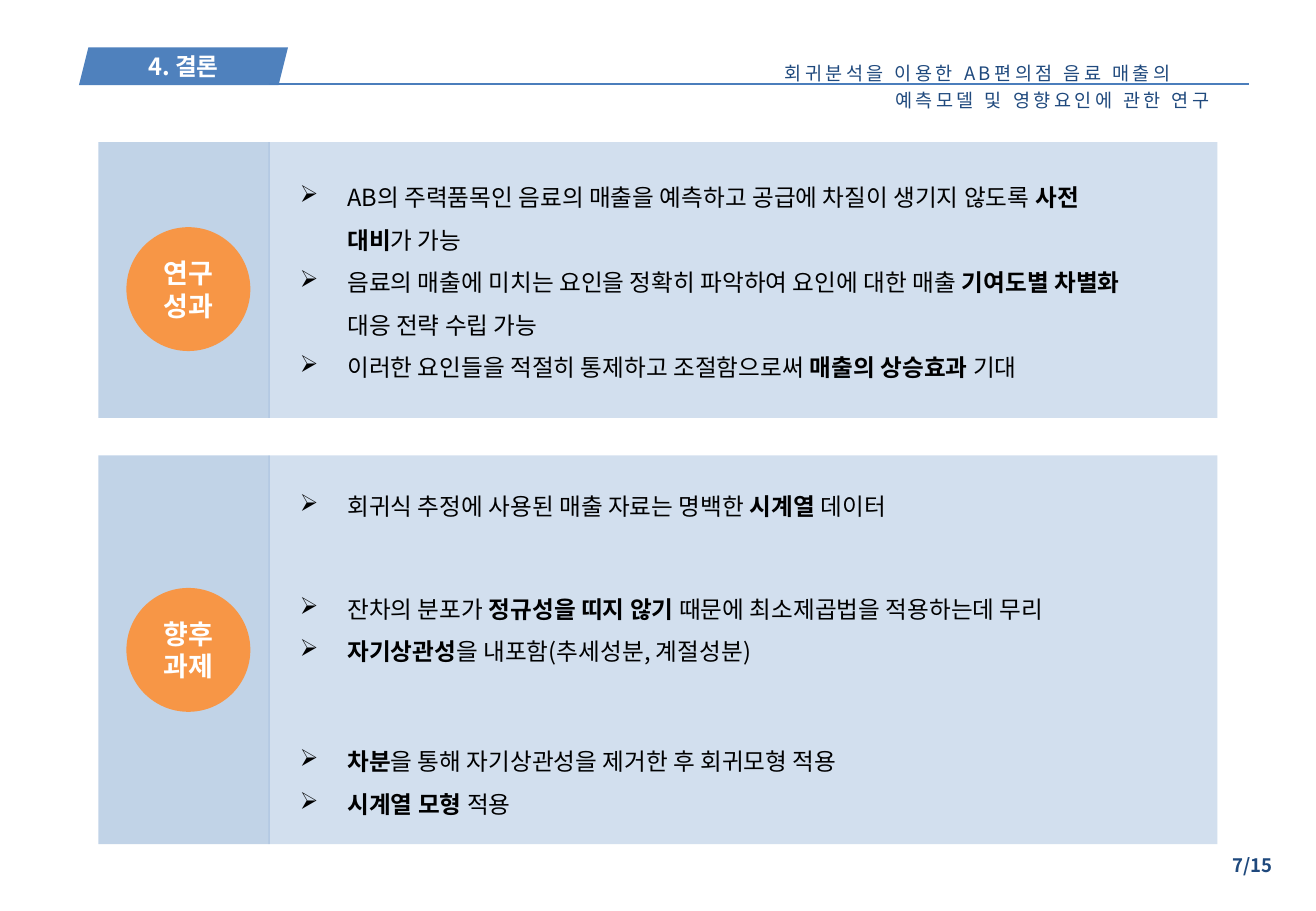
from lxml.etree import SubElement
from pptx import Presentation
from pptx.dml.color import RGBColor
from pptx.enum.shapes import MSO_CONNECTOR, MSO_SHAPE
from pptx.enum.text import MSO_ANCHOR, MSO_AUTO_SIZE, PP_ALIGN
from pptx.oxml.ns import qn
from pptx.util import Inches, Pt

COLORS = {
    "blue": "4F81BD",
    "rule": "4B7EBC",
    "navy": "1F497D",
    "orange": "F79646",
    "white": "FFFFFF",
    "black": "000000",
}
FONT = "Noto Sans CJK KR"
COLUMNS, ROWS = 108.3, 75
GRID_UNIT = Inches(0.1)
LABEL_LEFT, LABEL_WIDTH = 8.1, 14.1
BODY_LEFT, BODY_WIDTH = 22.1, 78.1
CIRCLE_LEFT, CIRCLE_SIZE = 10.4, 10.2
BULLET_LEFT = 23.7
BULLET_INDENT = 3.9


def grid(*lengths):
    return [round(length * GRID_UNIT) for length in lengths]


def rgb(name):
    return RGBColor.from_string(COLORS[name])


def write_text(paragraph, text, size=14, color="black", bold=False, align=None,
               line_spacing=None, bullet=None, indent=0, tracking=0):
    paragraph.alignment = align
    paragraph.line_spacing = line_spacing
    properties = paragraph._p.get_or_add_pPr()
    if indent:
        properties.set("marL", str(grid(indent)[0]))
    if bullet:
        properties.set("indent", str(-grid(indent)[0]))
        SubElement(properties, qn("a:buChar")).set("char", bullet)
    for part, piece in enumerate(text.split("*")):
        for line, words in enumerate(piece.split("\n")):
            if line:
                paragraph.add_line_break()
                line_break = paragraph._p.findall(qn("a:br"))[-1]
                SubElement(line_break, qn("a:rPr")).set("sz", str(size * 100))
            if not words:
                continue
            run = paragraph.add_run()
            run.text = words
            run.font.size = Pt(size)
            run.font.name = FONT
            run.font.bold = bold or part % 2 == 1
            run.font.color.rgb = rgb(color)
            SubElement(run.font._element, qn("a:ea")).set("typeface", FONT)
            if tracking:
                run.font._element.set("spc", str(tracking * 100))


class SlideBuilder:
    def __init__(self, presentation):
        self.slide = presentation.slides.add_slide(presentation.slide_layouts[6])
        self.shapes = self.slide.shapes

    def start_group(self):
        self.shapes = self.slide.shapes.add_group_shape().shapes

    def shape(self, kind, box, fill, opacity=None, text=None, size=14):
        shape = self.shapes.add_shape(kind, *grid(*box))
        shape.shadow.inherit = False
        shape.fill.solid()
        shape.fill.fore_color.rgb = rgb(fill)
        shape.line.fill.background()
        if opacity:
            color = shape._element.spPr.find(qn("a:solidFill"))[0]
            SubElement(color, qn("a:alpha")).set("val", str(opacity * 1000))
        if text:
            shape.text_frame.word_wrap = True
            shape.text_frame.vertical_anchor = MSO_ANCHOR.MIDDLE
            write_text(shape.text_frame.paragraphs[0], text, size=size,
                       color="white", bold=True, align=PP_ALIGN.CENTER)

    def text(self, box, paragraphs, anchor=MSO_ANCHOR.TOP, wrap=True):
        frame = self.shapes.add_textbox(*grid(*box)).text_frame
        frame.word_wrap = wrap
        frame.auto_size = MSO_AUTO_SIZE.SHAPE_TO_FIT_TEXT
        frame.vertical_anchor = anchor
        for index, (text, style) in enumerate(paragraphs):
            paragraph = frame.add_paragraph() if index else frame.paragraphs[0]
            write_text(paragraph, text, **style)

    def bullets(self, top, width, height, items, wrap=True, align=None, first_spacing=1.5):
        paragraphs = [
            (item, dict(bullet="➢", indent=BULLET_INDENT, align=align,
                        line_spacing=1.5 if index else first_spacing))
            for index, item in enumerate(items)
        ]
        self.text((BULLET_LEFT, top, width, height), paragraphs, MSO_ANCHOR.MIDDLE, wrap)

    def line(self, start, end, color, width):
        connector = self.shapes.add_connector(MSO_CONNECTOR.STRAIGHT, *grid(*start, *end))
        connector.line.color.rgb = rgb(color)
        connector.line.width = Pt(width)
        SubElement(connector._element.spPr, qn("a:effectLst"))

    def panel(self, top, height, circle_top, label):
        self.start_group()
        self.shape(MSO_SHAPE.RECTANGLE, (LABEL_LEFT, top, LABEL_WIDTH, height), "blue", 35)
        self.shape(MSO_SHAPE.RECTANGLE, (BODY_LEFT, top, BODY_WIDTH, height), "blue", 25)
        self.shape(MSO_SHAPE.OVAL, (CIRCLE_LEFT, circle_top, CIRCLE_SIZE, CIRCLE_SIZE),
                   "orange", text=label, size=16)


def main():
    presentation = Presentation()
    presentation.slide_width, presentation.slide_height = grid(COLUMNS, ROWS)
    builder = SlideBuilder(presentation)

    header = dict(size=11, color="navy", tracking=2, line_spacing=Pt(16))
    builder.text((63.6, 4.2, 41.3, 5.3), [
        ("회귀분석을 이용한 AB편의점 음료 매출의", header),
        ("예측모델 및 영향요인에 관한 연구", dict(header, indent=9.1)),
    ])
    builder.text((82.3, 69.8, 23.4, 2.9), [
        ("7/15", dict(size=11, color="navy", bold=True, align=PP_ALIGN.RIGHT)),
    ])
    builder.shape(MSO_SHAPE.PARALLELOGRAM, (6.5, 3.9, 17.2, 3.1), "blue", text="4. 결론")
    builder.line((22.1, 6.9), (102.8, 6.9), "rule", 1)

    builder.panel(37.5, 32, 48.4, "향후과제")
    builder.bullets(39, 52.1, 4.1, [
        "회귀식 추정에 사용된 매출 자료는 명백한 *시계열* 데이터",
    ], wrap=False)
    builder.bullets(48.4, 73.4, 6.9, [
        "잔차의 분포가 *정규성을 띠지 않기* 때문에 최소제곱법을 적용하는데 무리",
        "*자기상관성*을 내포함(추세성분, 계절성분)",
    ], align=PP_ALIGN.JUSTIFY, first_spacing=None)
    builder.bullets(60, 47.9, 7.7, [
        "*차분*을 통해 자기상관성을 제거한 후 회귀모형 적용",
        "*시계열 모형 *적용",
    ], wrap=False)

    builder.panel(11.7, 22.7, 18.7, "연구성과")
    builder.bullets(13.3, 71.9, 18.7, [
        "AB의 주력품목인 음료의 매출을 예측하고 공급에 차질이 생기지 않도록 *사전\n대비*가 가능",
        "음료의 매출에 미치는 요인을 정확히 파악하여 요인에 대한 매출 *기여도별 차별화 *대응 전략 수립 가능",
        "이러한 요인들을 적절히 통제하고 조절함으로써 *매출의 상승효과* 기대",
    ])
    presentation.save("out.pptx")


if __name__ == "__main__":
    main()
